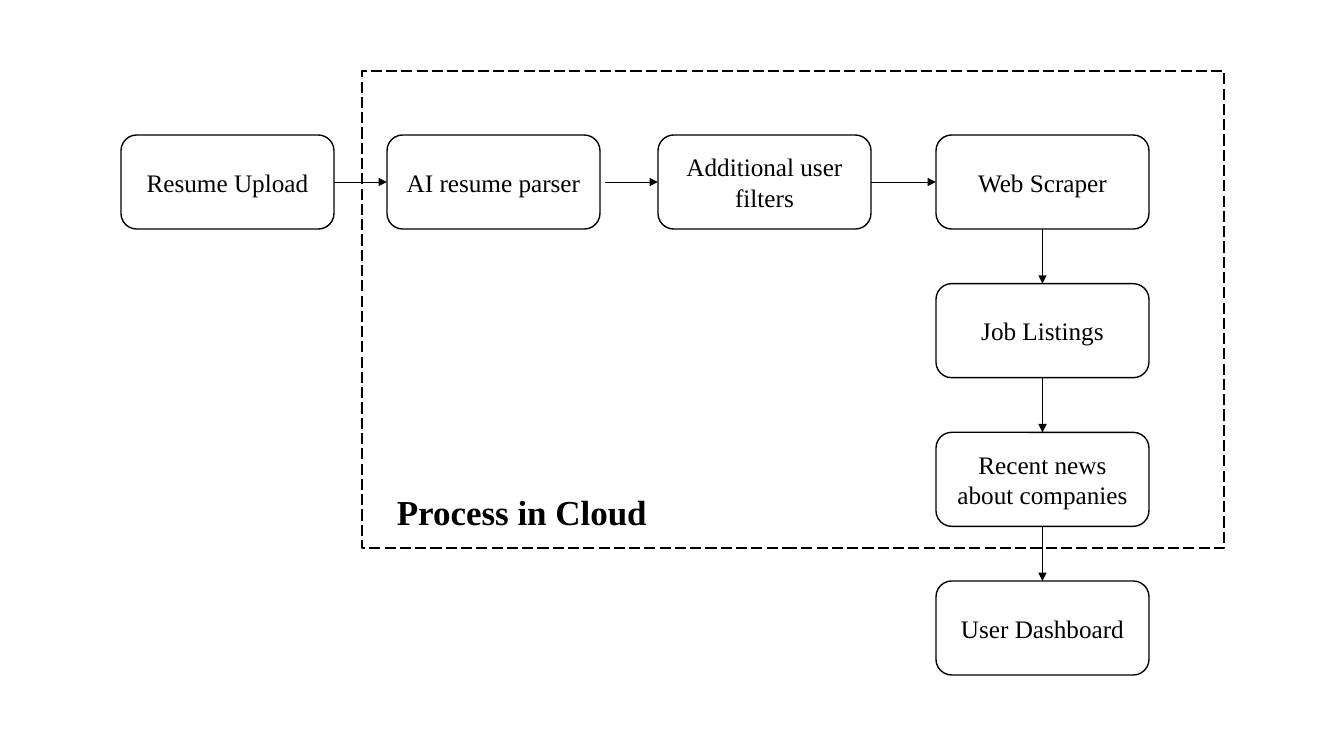
from lxml import etree
from pptx import Presentation
from pptx import util as u
from pptx.dml.color import RGBColor
from pptx.enum import dml, shapes, text
from pptx.oxml.ns import qn

PX = 914400 / 100.8
INK = "000000"
FONT = "Times New Roman"
STEP_SIZE = (213, 94)
STEP_TEXT = {"size": u.Pt(18), "name": FONT}
LABEL_TEXT = {"size": u.Pt(25), "name": FONT, "bold": True}
TOP_ROW = [(121, "Resume Upload"), (387, "AI resume parser"),
           (658, "Additional user filters"), (936, "Web Scraper")]
LAST_COLUMN = ["Job Listings", "Recent news about companies", "User Dashboard"]
ARROW_STARTS = [334, 605, 871]


def px(*lengths):
    return [u.Emu(round(length * PX)) for length in lengths]


def colour(value):
    return RGBColor.from_string(value)


def write(frame, words, values):
    frame.word_wrap = True
    para = frame.paragraphs[0]
    span = para.add_run()
    span.text = words
    for name, value in values.items():
        setattr(span.font, name, value)
    span.font.color.rgb = colour(INK)
    return para


def add_outline(page, kind, box):
    shape = page.shapes.add_shape(kind, *px(*box))
    shape.shadow.inherit = False
    shape.fill.background()
    shape.line.color.rgb = colour(INK)
    shape.line.width = u.Pt(1)
    return shape


def add_step(page, left, top, words):
    shape = add_outline(page, shapes.MSO_SHAPE.ROUNDED_RECTANGLE, (left, top, *STEP_SIZE))
    shape.text_frame.vertical_anchor = text.MSO_ANCHOR.MIDDLE
    para = write(shape.text_frame, words, STEP_TEXT)
    para.alignment = text.PP_ALIGN.CENTER


def add_arrow(page, start, end):
    arrow = page.shapes.add_connector(shapes.MSO_CONNECTOR.STRAIGHT, *px(*start, *end))
    arrow.line.color.rgb = colour(INK)
    arrow.line.width = u.Pt(0.5)
    etree.SubElement(arrow.line._get_or_add_ln(), qn("a:tailEnd"), type="triangle")
    etree.SubElement(arrow._element.spPr, qn("a:effectLst"))


def add_cloud(page, box):
    left, top, width, height = box
    frame = add_outline(page, shapes.MSO_SHAPE.RECTANGLE, box)
    frame.line.dash_style = dml.MSO_LINE.LONG_DASH
    label = page.shapes.add_textbox(*px(left + 25, top + height - 62, 285, 52))
    write(label.text_frame, "Process in Cloud", LABEL_TEXT)


def add_flow(page, box):
    left, top, width, height = box
    step_width, step_height = STEP_SIZE
    column = left + width - step_width
    pitch = (height - step_height) / len(LAST_COLUMN)
    for step_left, words in TOP_ROW:
        add_step(page, step_left, top, words)
    middle = top + step_height / 2
    for start, (end, words) in zip(ARROW_STARTS, TOP_ROW[1:]):
        add_arrow(page, (start, middle), (end, middle))
    centre = column + step_width / 2
    for row, words in enumerate(LAST_COLUMN, 1):
        step_top = top + row * pitch
        add_step(page, column, step_top, words)
        add_arrow(page, (centre, step_top - pitch + step_height), (centre, step_top))


def main():
    deck = Presentation()
    deck.slide_width, deck.slide_height = px(1344, 756)
    page = deck.slides.add_slide(deck.slide_layouts[6])
    add_cloud(page, (362, 71, 862, 477))
    add_flow(page, (121, 135, 1028, 540))
    deck.save("out.pptx")


if __name__ == "__main__":
    main()
